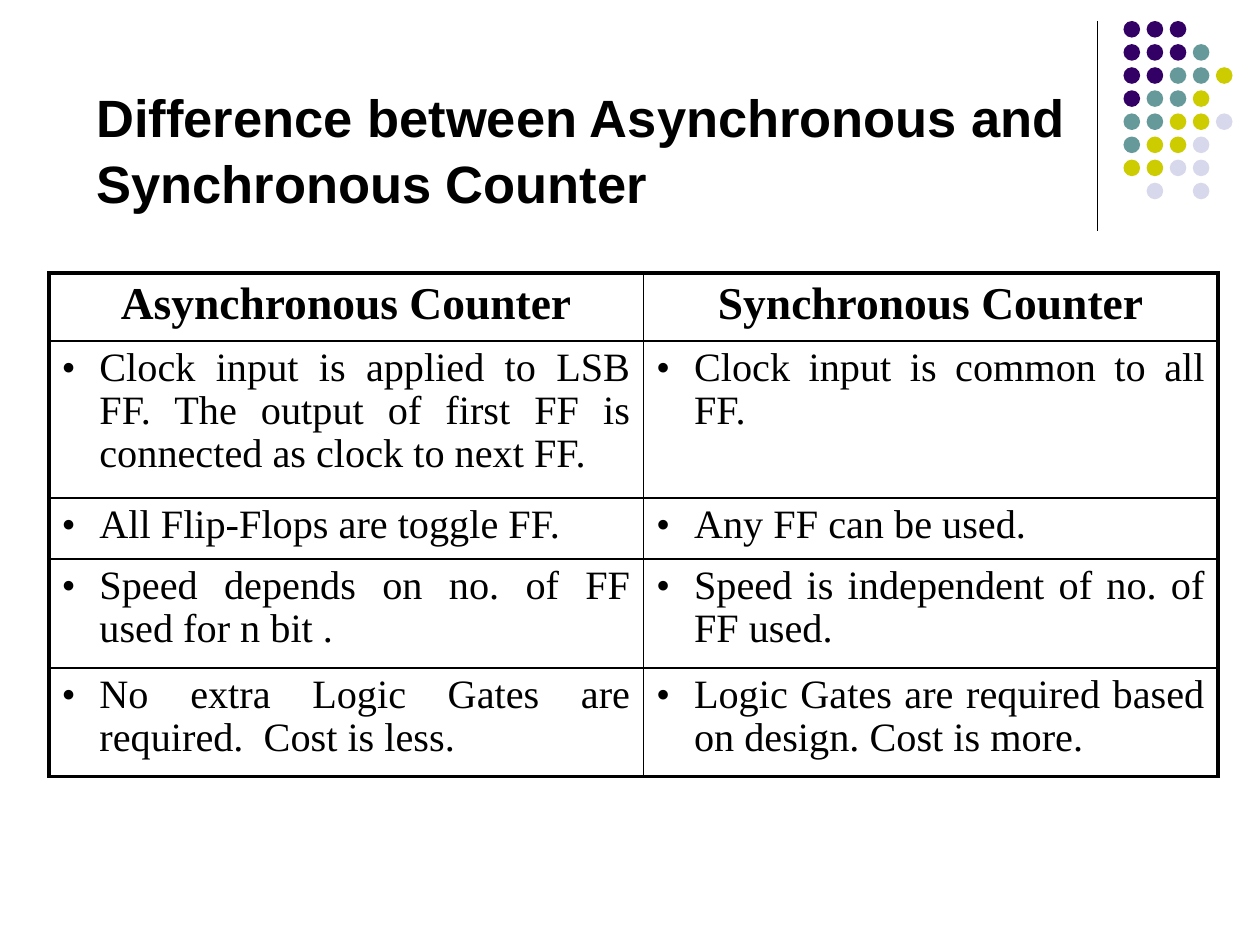
from lxml.etree import SubElement
from pptx import Presentation
from pptx.dml.color import RGBColor
from pptx.enum.shapes import MSO_CONNECTOR, MSO_SHAPE
from pptx.enum.text import MSO_ANCHOR, PP_ALIGN
from pptx.oxml.ns import qn
from pptx.util import Pt

BLACK = RGBColor(0x00, 0x00, 0x00)
DOT_COLORS = {
    "P": RGBColor(0x33, 0x00, 0x66),
    "T": RGBColor(0x66, 0x99, 0x99),
    "Y": RGBColor(0xCC, 0xCC, 0x00),
    "L": RGBColor(0xD8, 0xD8, 0xEC),
}
DOT_ROWS = ["PPP", "PPPT", "PPTTY", "PTTY", "TTYYL", "TYYL", "YYLL", " L L"]
DOT_LEFT, DOT_TOP, DOT_PITCH, DOT_SIZE = 642, 12, 13.2, 9.5

TITLE = "Difference between Asynchronous and Synchronous Counter"
ROWS = [
    ("Asynchronous Counter", "Synchronous Counter"),
    ("Clock input is applied to LSB FF. The output of first FF is connected as clock to next FF.",
     "Clock input is common to all FF."),
    ("All Flip-Flops are toggle FF.", "Any FF can be used."),
    ("Speed depends on no. of FF used for n bit .",
     "Speed is independent of no. of FF used."),
    ("No extra Logic Gates are required.  Cost is less.",
     "Logic Gates are required based on design. Cost is more."),
]
COLUMN_WIDTHS = [339.8, 328.2]
ROW_HEIGHTS = [38.8, 89.8, 34.8, 62.3, 62.3]
TABLE_LEFT, TABLE_TOP = 28, 156
THICK, THIN = 2.25, 1
BULLET_INDENT = 21.6


def format_runs(paragraph, font_name, size, bold):
    for run in paragraph.runs:
        run.font.name = font_name
        run.font.size = Pt(size)
        run.font.bold = bold
        run.font.color.rgb = BLACK


def add_dots(slide):
    group = slide.shapes.add_group_shape()
    for row, codes in enumerate(DOT_ROWS):
        for column, code in enumerate(codes):
            if code == " ":
                continue
            dot = group.shapes.add_shape(
                MSO_SHAPE.OVAL,
                Pt(DOT_LEFT + column * DOT_PITCH), Pt(DOT_TOP + row * DOT_PITCH),
                Pt(DOT_SIZE), Pt(DOT_SIZE))
            dot.shadow.inherit = False
            dot.fill.solid()
            dot.fill.fore_color.rgb = DOT_COLORS[code]
            dot.line.fill.background()


def add_divider(slide):
    divider = slide.shapes.add_connector(
        MSO_CONNECTOR.STRAIGHT, Pt(627), Pt(12), Pt(627), Pt(132))
    divider.line.color.rgb = BLACK
    divider.line.width = Pt(0.75)
    SubElement(divider.element.spPr, qn("a:effectLst"))


def add_title(slide):
    box = slide.shapes.add_textbox(Pt(48), Pt(46.8), Pt(630), Pt(79.2))
    frame = box.text_frame
    frame.word_wrap = True
    frame.vertical_anchor = MSO_ANCHOR.BOTTOM
    frame.text = TITLE
    paragraph = frame.paragraphs[0]
    paragraph.line_spacing = 1.05
    format_runs(paragraph, "Arial", 30, True)


def set_borders(cell, widths):
    properties = cell._tc.get_or_add_tcPr()
    for side, width in widths.items():
        line = SubElement(properties, qn(f"a:ln{side}"), w=str(Pt(width)))
        fill = SubElement(line, qn("a:solidFill"))
        SubElement(fill, qn("a:srgbClr"), val=str(BLACK))


def add_bullet(paragraph):
    properties = paragraph._p.get_or_add_pPr()
    properties.set("marL", str(Pt(BULLET_INDENT)))
    properties.set("indent", str(-Pt(BULLET_INDENT)))
    SubElement(properties, qn("a:buFont"), typeface="Times New Roman")
    SubElement(properties, qn("a:buChar"), char="•")


def add_comparison(slide):
    last_row, last_column = len(ROWS) - 1, len(COLUMN_WIDTHS) - 1
    table = slide.shapes.add_table(
        len(ROWS), len(COLUMN_WIDTHS), Pt(TABLE_LEFT), Pt(TABLE_TOP),
        Pt(sum(COLUMN_WIDTHS)), Pt(sum(ROW_HEIGHTS))).table
    table.first_row = False
    table.horz_banding = False
    for column, width in zip(table.columns, COLUMN_WIDTHS):
        column.width = Pt(width)
    for row_index, texts in enumerate(ROWS):
        table.rows[row_index].height = Pt(ROW_HEIGHTS[row_index])
        for column_index, text in enumerate(texts):
            cell = table.cell(row_index, column_index)
            set_borders(cell, {
                "L": THICK if column_index == 0 else THIN,
                "R": THICK if column_index == last_column else THIN,
                "T": THICK if row_index == 0 else THIN,
                "B": THICK if row_index == last_row else THIN,
            })
            cell.fill.background()
            cell.text_frame.text = text
            paragraph = cell.text_frame.paragraphs[0]
            if row_index == 0:
                paragraph.alignment = PP_ALIGN.CENTER
                format_runs(paragraph, "Times New Roman", 26, True)
            else:
                paragraph.alignment = PP_ALIGN.JUSTIFY
                paragraph.line_spacing = 0.96
                add_bullet(paragraph)
                format_runs(paragraph, "Times New Roman", 23, False)


def main():
    presentation = Presentation()
    presentation.slide_width = Pt(720)
    presentation.slide_height = Pt(540)
    slide = presentation.slides.add_slide(presentation.slide_layouts[6])
    add_divider(slide)
    add_dots(slide)
    add_title(slide)
    add_comparison(slide)
    presentation.save("out.pptx")


if __name__ == "__main__":
    main()
